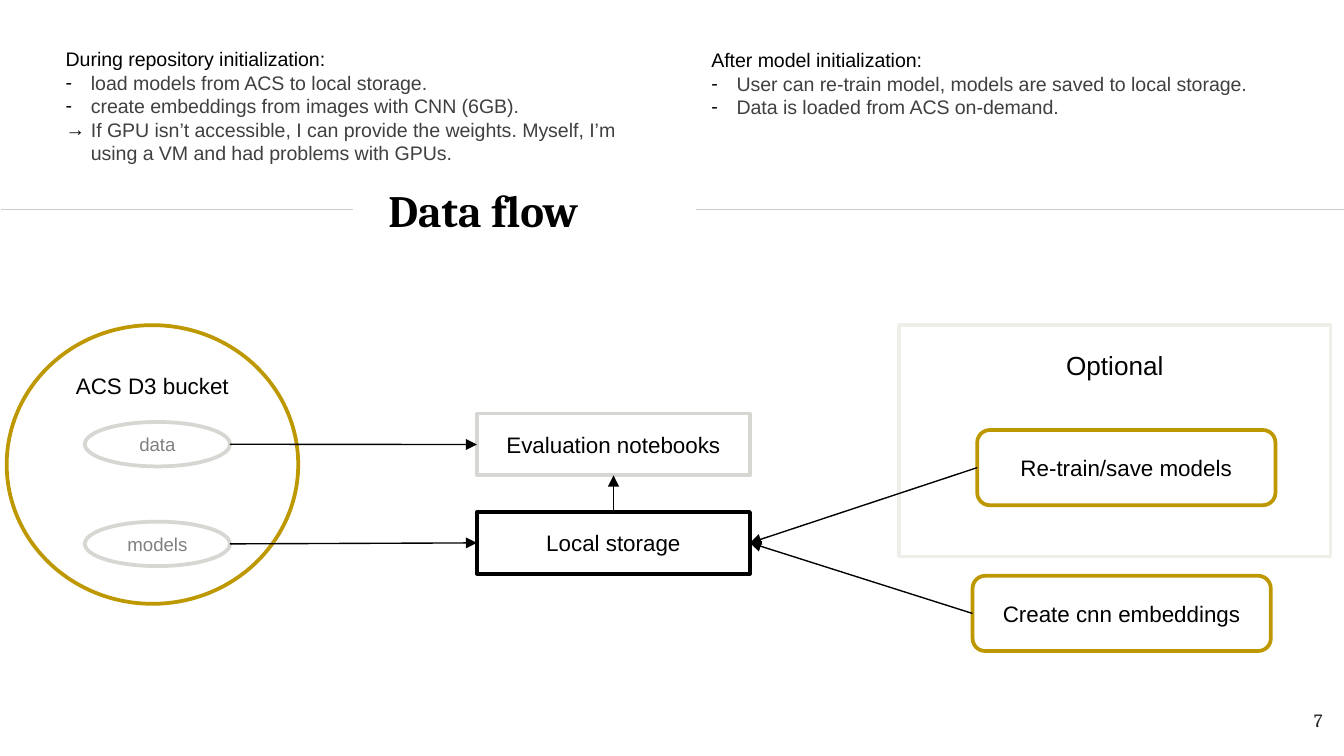
from lxml import etree
from pptx import Presentation
from pptx.dml.color import RGBColor
from pptx.enum.shapes import MSO_CONNECTOR, MSO_SHAPE
from pptx.enum.text import MSO_ANCHOR, MSO_AUTO_SIZE, PP_ALIGN
from pptx.oxml.ns import qn
from pptx.util import Pt

STRAIGHT = MSO_CONNECTOR.STRAIGHT
RECTANGLE, ROUNDED, OVAL = MSO_SHAPE.RECTANGLE, MSO_SHAPE.ROUNDED_RECTANGLE, MSO_SHAPE.OVAL
TOP, MIDDLE = MSO_ANCHOR.TOP, MSO_ANCHOR.MIDDLE
LEFT, CENTER, RIGHT = PP_ALIGN.LEFT, PP_ALIGN.CENTER, PP_ALIGN.RIGHT
NO_AUTOFIT = MSO_AUTO_SIZE.NONE

BLACK = RGBColor(0x00, 0x00, 0x00)
WHITE = RGBColor(0xFF, 0xFF, 0xFF)
GOLD = RGBColor(0xBD, 0x98, 0x00)
STONE = RGBColor(0xD8, 0xD6, 0xD2)
IVORY = RGBColor(0xF0, 0xEE, 0xE9)
RULE_GRAY = RGBColor(0xCC, 0xCC, 0xCC)
PILL_GRAY = RGBColor(0x80, 0x80, 0x80)
NOTE_GRAY = RGBColor(0x40, 0x40, 0x40)
INK = RGBColor(0x1D, 0x1D, 0x1B)

SITE_TOP, SITE_LEFT, SITE_BOTTOM, SITE_RIGHT = range(4)
OVAL_SITE_RIGHT = 6
NOTE_INDENT = 13.5


def write(paragraph, text, size=12, font="Arial", color=BLACK, bold=False, align=CENTER):
    paragraph.alignment = align
    paragraph.space_before = Pt(0)
    run = paragraph.add_run()
    run.text = text
    run.font.name = font
    run.font.size = Pt(size)
    run.font.bold = bold
    run.font.color.rgb = color


def place(shape, box):
    shape.left, shape.top, shape.width, shape.height = (Pt(value) for value in box)


def set_inset(frame, inset):
    frame.margin_left = frame.margin_right = Pt(inset)
    frame.margin_top = frame.margin_bottom = Pt(inset)


def set_bullet(paragraph, symbol):
    properties = paragraph._p.get_or_add_pPr()
    indent = Pt(NOTE_INDENT) if symbol else 0
    properties.set("marL", str(indent))
    properties.set("indent", str(-indent))
    if not symbol:
        etree.SubElement(properties, qn("a:buNone"))
        return
    color = etree.SubElement(properties, qn("a:buClr"))
    etree.SubElement(color, qn("a:srgbClr"), val=str(BLACK))
    etree.SubElement(properties, qn("a:buFont"), typeface="Arial")
    etree.SubElement(properties, qn("a:buChar"), char=symbol)


def add_node(slide, kind, box, text, line, anchor=MIDDLE, top_inset=3.6, **text_format):
    shape = slide.shapes.add_shape(kind, *(Pt(value) for value in box))
    shape.shadow.inherit = False
    shape.fill.solid()
    shape.fill.fore_color.rgb = WHITE
    shape.line.color.rgb = line
    shape.line.width = Pt(2)
    frame = shape.text_frame
    frame.word_wrap = True
    frame.vertical_anchor = anchor
    frame.margin_top = Pt(top_inset)
    write(frame.paragraphs[0], text, **text_format)
    return shape


def add_line(slide, start, end, color):
    line = slide.shapes.add_connector(STRAIGHT, *(Pt(value) for value in start + end))
    line.line.color.rgb = color
    line.line.width = Pt(0.75)
    etree.SubElement(line._element.spPr, qn("a:effectLst"))
    return line


def add_arrow(slide, source, source_site, target, target_site):
    arrow = add_line(slide, (0, 0), (0, 0), BLACK)
    arrow.begin_connect(source, source_site)
    arrow.end_connect(target, target_site)
    etree.SubElement(arrow.line._get_or_add_ln(), qn("a:tailEnd"), type="triangle")
    if source.auto_shape_type == OVAL:
        connection = next(arrow._element.iter(qn("a:stCxn")))
        connection.set("idx", str(OVAL_SITE_RIGHT))


def add_heading(slide, box, text):
    left, top, width, height = box
    middle = top + height / 2
    add_line(slide, (left, middle), (left + 188.5, middle), RULE_GRAY)
    add_line(slide, (left + 372.3, middle), (left + width, middle), RULE_GRAY)
    title = slide.shapes.title
    place(title, (left + 200.2, top, 130.3, height))
    frame = title.text_frame
    frame.auto_size = NO_AUTOFIT
    frame.word_wrap = True
    frame.vertical_anchor = MIDDLE
    set_inset(frame, 7.2)
    write(frame.paragraphs[0], text, size=24, font="Cambria", bold=True, align=LEFT)


def add_notes_column(placeholder, box, heading, items):
    place(placeholder, box)
    frame = placeholder.text_frame
    frame.auto_size = NO_AUTOFIT
    frame.word_wrap = True
    frame.vertical_anchor = TOP
    for index, (symbol, text) in enumerate([("", heading)] + items):
        paragraph = frame.add_paragraph() if index else frame.paragraphs[0]
        write(paragraph, text, size=10.5, color=NOTE_GRAY if symbol else BLACK, align=LEFT)
        set_bullet(paragraph, symbol)


def add_bucket(slide, box):
    left, top, _, _ = box
    add_node(slide, OVAL, box, "ACS D3 bucket", GOLD, anchor=TOP)
    return [
        add_node(slide, OVAL, (left + 41.8, top + offset, 77.8, 23.8), name, STONE,
                 size=10, color=PILL_GRAY)
        for name, offset in (("data", 51.9), ("models", 105.3))
    ]


def add_workspace(slide, box):
    left, top, width, height = box
    node_height = 33.1
    notebooks = add_node(slide, RECTANGLE, (left, top, width, node_height),
                         "Evaluation notebooks", STONE)
    storage = add_node(slide, RECTANGLE, (left, top + height - node_height, width, node_height),
                       "Local storage", BLACK)
    return notebooks, storage


def add_model_tasks(slide, box):
    left, top, width, height = box
    task_width, task_height = 159.8, 40.3
    add_node(slide, RECTANGLE, (left, top, width, 124), "Optional", IVORY,
             anchor=TOP, top_inset=13, size=14)
    retrain = add_node(slide, ROUNDED, (left + 41.8, top + 56.2, task_width, task_height),
                       "Re-train/save models", GOLD)
    create = add_node(slide, ROUNDED,
                      (left + 39.3, top + height - task_height, task_width, task_height),
                      "Create cnn embeddings", GOLD)
    return retrain, create


def add_page_number(slide, box, number):
    text_box = slide.shapes.add_textbox(*(Pt(value) for value in box))
    frame = text_box.text_frame
    frame.word_wrap = True
    set_inset(frame, 7.2)
    write(frame.paragraphs[0], number, size=10, font="Cambria", color=INK, align=RIGHT)


def main():
    presentation = Presentation()
    presentation.slide_width, presentation.slide_height = Pt(720), Pt(405)
    slide = presentation.slides.add_slide(presentation.slide_layouts.get_by_name("Two Content"))
    _, before, after = slide.placeholders

    add_heading(slide, (0.7, 71, 719.3, 82.8), "Data flow")
    add_notes_column(before, (28, 21.8, 318.2, 96.5), "During repository initialization:", [
        ("-", "load models from ACS to local storage."),
        ("-", "create embeddings from images with CNN (6GB)."),
        ("→", "If GPU isn’t accessible, I can provide the weights. Myself, I’m "
              "using a VM and had problems with GPUs."),
    ])
    add_notes_column(after, (373.9, 22.3, 318.2, 70.6), "After model initialization:", [
        ("-", "User can re-train model, models are saved to local storage."),
        ("-", "Data is loaded from ACS on-demand."),
    ])

    data, models = add_bucket(slide, (3.6, 174.2, 156.2, 149.3))
    notebooks, storage = add_workspace(slide, (255.5, 221.6, 146.3, 85.8))
    retrain, create = add_model_tasks(slide, (481.7, 174.2, 231.1, 174.6))
    add_arrow(slide, data, SITE_RIGHT, notebooks, SITE_LEFT)
    add_arrow(slide, models, SITE_RIGHT, storage, SITE_LEFT)
    add_arrow(slide, storage, SITE_TOP, notebooks, SITE_BOTTOM)
    for task in (retrain, create):
        add_arrow(slide, task, SITE_LEFT, storage, SITE_RIGHT)
    add_page_number(slide, (672.5, 373.7, 43.2, 31), "7")
    presentation.save("out.pptx")


if __name__ == "__main__":
    main()
